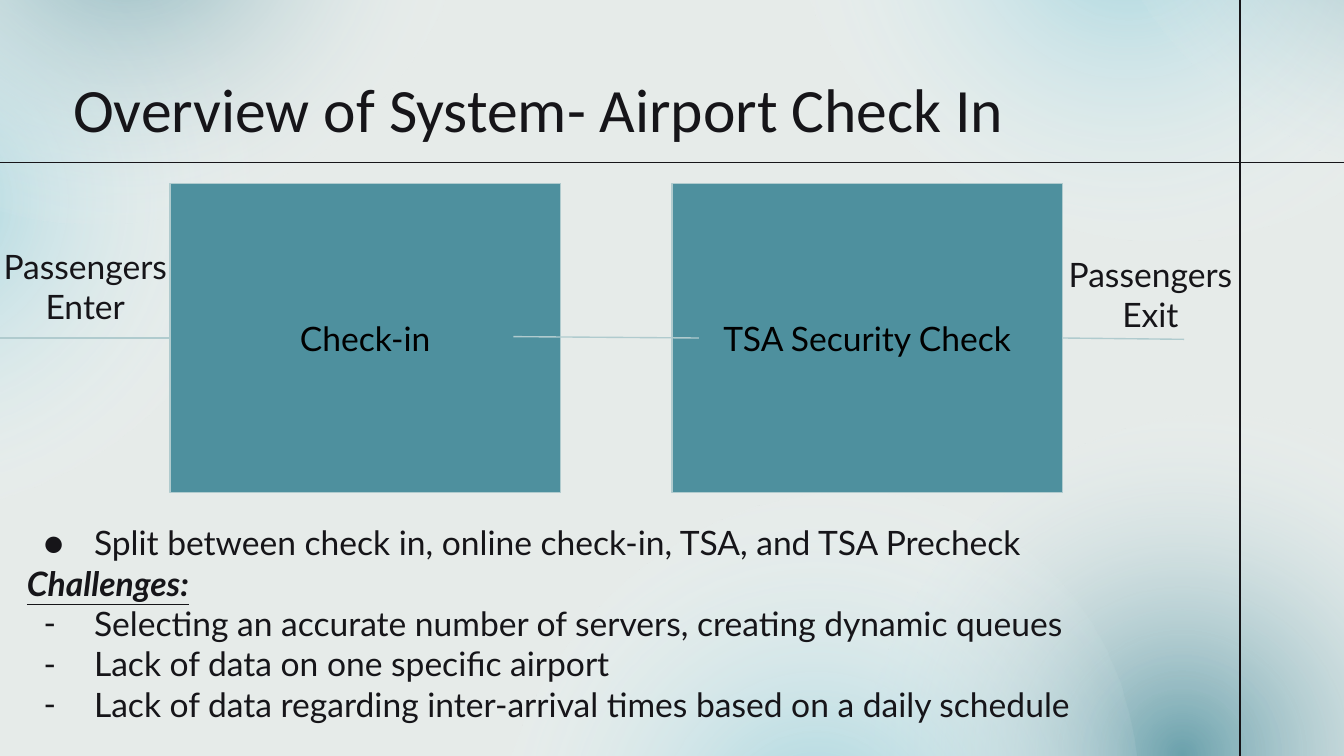
from lxml import etree
from pptx import Presentation, util as u
from pptx.dml.color import RGBColor
from pptx.enum import shapes as s, text as t
from pptx.oxml import parse_xml
from pptx.oxml.ns import nsdecls, qn

PX = 4572  # 200 px to the inch
HEX = {"paper": "E6EBE9", "ink": "161519", "black": "000000",
       "teal": "4E909E", "sky": "80C8D8", "rim": "B0CBCE"}
GLOWS = [  # left, top, turn, colour, opacity
    (1236, 662, 122.9, "teal", 81), (692, 776, 122.9, "sky", 68),
    (-646, -162, 158, "sky", 68), (-336, -596, 158, "teal", 68),
    (1156, -580, 211, "sky", 68), (1604, -670, 211, "teal", 68)]
NOTES = [
    ("●", "Split between check in, online check-in, TSA, and TSA Precheck"),
    (None, "Challenges:"),
    ("-", "Selecting an accurate number of servers, creating dynamic queues"),
    ("-", "Lack of data on one specific airport"),
    ("-", "Lack of data regarding inter-arrival times based on a daily schedule")]
LEFT, MID = t.PP_ALIGN.LEFT, t.PP_ALIGN.CENTER


def px(*nums):
    return [u.Emu(n * PX) for n in nums]


def rgb(name):
    return RGBColor.from_string(HEX[name])


def apply(obj, **vals):
    for key, val in vals.items():
        setattr(obj, key, val)


def place(shape, *box):
    apply(shape, **dict(zip(("left", "top", "width", "height"), px(*box))))


def style(par, align=LEFT, ink="ink", size=18, name="Lato", **more):
    apply(par, alignment=align, space_before=u.Pt(0), space_after=u.Pt(0))
    apply(par.font, size=u.Pt(size), name=name, **more)
    par.font.color.rgb = rgb(ink)


def frame(shape, anchor):
    edges = ("left", "top", "right", "bottom")
    pads = {"margin_" + edge: px(20)[0] for edge in edges}
    tf = shape.text_frame
    apply(tf, word_wrap=True, auto_size=t.MSO_AUTO_SIZE.NONE,
          vertical_anchor=anchor, **pads)
    return tf


def glow(slide, left, top, turn, hue, alpha):
    """Add an ellipse that fades from its centre to nothing."""
    oval = slide.shapes.add_shape(s.MSO_SHAPE.OVAL, *px(left, top, 1044, 920))
    oval.rotation = turn
    oval.shadow.inherit = False
    oval.line.fill.background()
    stops = [(0, HEX[hue], alpha), (58, "FFFFFF", 0), (100, "FFFFFF", 0)]
    marks = "".join(
        f'<a:gs pos="{pos * 1000}"><a:srgbClr val="{tone}">'
        f'<a:alpha val="{see * 1000}"/></a:srgbClr></a:gs>'
        for pos, tone, see in stops)
    fade = parse_xml(
        f'<a:gradFill {nsdecls("a")} rotWithShape="1"><a:gsLst>{marks}</a:gsLst>'
        '<a:path path="circle"><a:fillToRect l="50000" t="50000" r="50000" '
        'b="50000"/></a:path></a:gradFill>')
    oval._element.spPr.find(qn("a:prstGeom")).addnext(fade)


def rule(slide, x1, y1, x2, y2, hue="rim"):
    line = slide.shapes.add_connector(s.MSO_CONNECTOR.STRAIGHT,
                                      *px(x1, y1, x2, y2))
    line.line.color.rgb = rgb(hue)
    line.line.width = u.Pt(0.75)
    etree.SubElement(line._element.spPr, qn("a:effectLst"))
    return line


def stage(slide, left, words):
    rect = slide.shapes.add_shape(s.MSO_SHAPE.RECTANGLE,
                                  *px(left, 273, 581, 460))
    rect.shadow.inherit = False
    rect.fill.solid()
    rect.fill.fore_color.rgb = rgb("teal")
    rect.line.color.rgb = rgb("rim")
    rect.line.width = u.Pt(0.75)
    tf = frame(rect, t.MSO_ANCHOR.MIDDLE)
    tf.text = words
    style(tf.paragraphs[0], MID, "black")
    return rect


def label(slide, left, top, words):
    box = slide.shapes.add_textbox(*px(left, top, 294, 134))
    tf = frame(box, t.MSO_ANCHOR.TOP)
    tf.text = words
    for par in tf.paragraphs:
        style(par, MID)


def bullet(par, mark):
    """Hang the paragraph on a mark, or set it flush without one."""
    props = par._p.get_or_add_pPr()
    left, hang = px(100, -75) if mark else (0, 0)
    props.set("marL", str(left))
    props.set("indent", str(hang))
    if not mark:
        etree.SubElement(props, qn("a:buNone"))
        return
    tone = etree.SubElement(props, qn("a:buClr"))
    etree.SubElement(tone, qn("a:srgbClr"), val=HEX["ink"])
    etree.SubElement(props, qn("a:buFont"), typeface="Lato")
    etree.SubElement(props, qn("a:buChar"), char=mark)


def title(slide, words):
    head = slide.shapes.title
    place(head, 89, 98, 1756, 126)
    tf = frame(head, t.MSO_ANCHOR.MIDDLE)
    tf.text = words
    style(tf.paragraphs[0], size=33, name="Calibri")
    return head


def notes(slide):
    body = slide.placeholders[1]
    place(body, 20, 757, 1792, 368)
    tf = frame(body, t.MSO_ANCHOR.TOP)
    tf.text = "\n".join(words for _, words in NOTES)
    for par, (mark, _) in zip(tf.paragraphs, NOTES):
        bullet(par, mark)
        bold = mark is None
        style(par, bold=bold, italic=bold, underline=bold)
    return body


def main():
    deck = Presentation()
    deck.slide_width, deck.slide_height = px(2000, 1125)
    slide = deck.slides.add_slide(deck.slide_layouts[1])
    back = slide.background.fill
    back.solid()
    back.fore_color.rgb = rgb("paper")

    for spot in GLOWS:
        glow(slide, *spot)
    rule(slide, 2012, 242, -10, 242, "ink")
    rule(slide, 1845, -64, 1845, 1250, "ink")
    # Placeholders start at the back, so lift them over the glows
    for item in (title(slide, "Overview of System- Airport Check In"),
                 notes(slide)):
        slide.shapes._spTree.append(item._element)

    desk = stage(slide, 253, "Check-in")
    gate = stage(slide, 1000, "TSA Security Check")
    rule(slide, -20, 503, 253, 503).end_connect(desk, 1)
    rule(slide, 764, 501, 1040, 503)
    rule(slide, 1581, 503, 1762, 505).begin_connect(gate, 3)
    label(slide, -20, 346, "Passengers\nEnter")
    label(slide, 1565, 358, "Passengers\nExit")
    deck.save("out.pptx")


if __name__ == "__main__":
    main()
